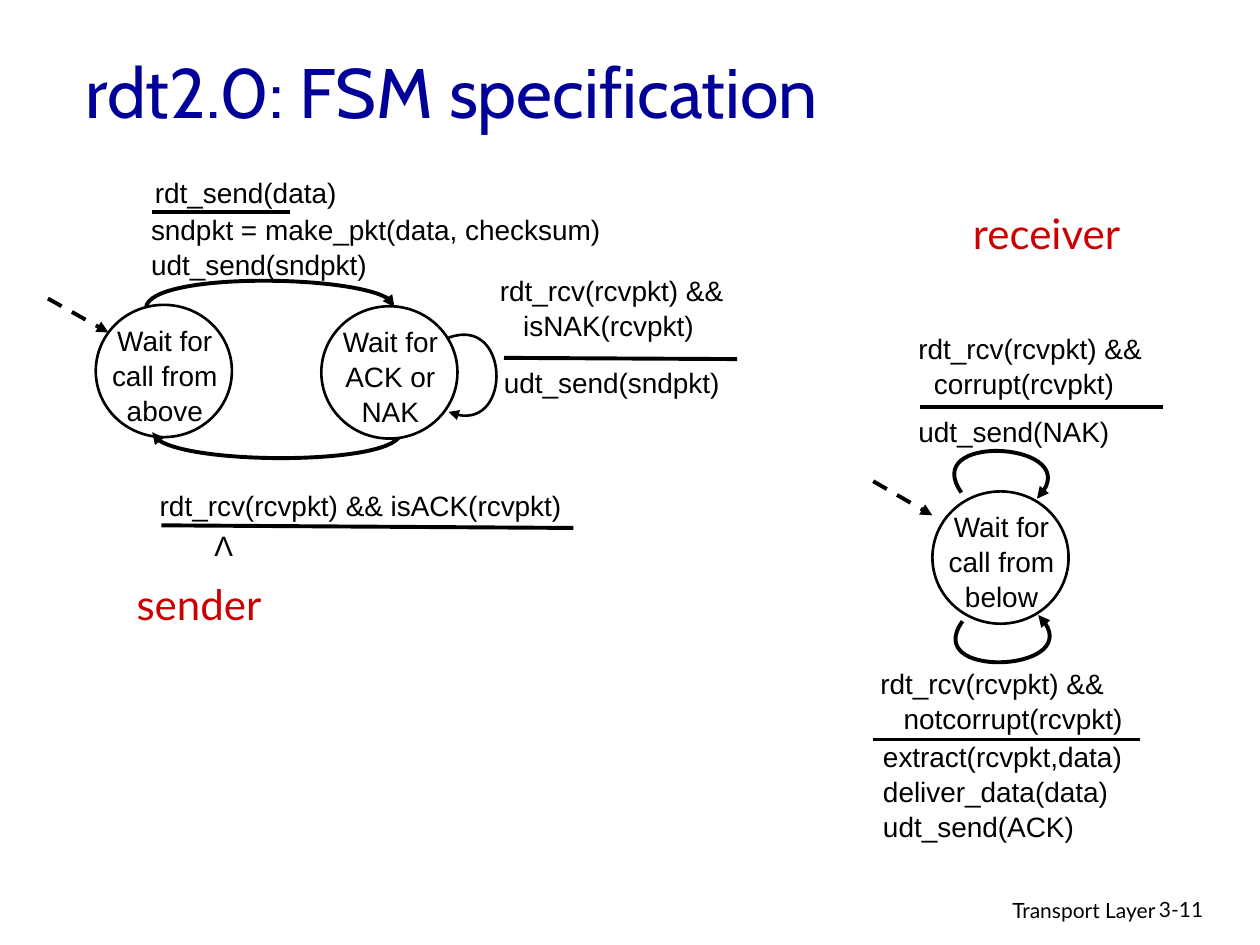
import dataclasses

import lxml.etree
import pptx
import pptx.dml.color
import pptx.enum.dml
import pptx.enum.shapes
import pptx.enum.text
import pptx.oxml.ns
import pptx.util

Pt = pptx.util.Pt
qn = pptx.oxml.ns.qn
Align = pptx.enum.text.PP_ALIGN


@dataclasses.dataclass(frozen=True)
class Theme:
    ink: str = "000000"
    paper: str = "FFFFFF"
    navy: str = "000099"
    red: str = "CC0000"
    code: str = "Arial"
    label: str = "Lato"
    head: str = "Cabin"
    small: int = 12
    body: int = 16
    role: int = 24
    title: int = 40
    thin: float = 1.5
    thick: float = 2.25
    lead: float = 1.04


THEME = Theme()


def tint(code):
    return pptx.dml.color.RGBColor.from_string(code)


def add_text(slide, text, left, top, width, height, size=THEME.body,
             font=THEME.code, color=THEME.ink, align=Align.LEFT, indent=0):
    box = slide.shapes.add_textbox(Pt(left), Pt(top), Pt(width), Pt(height))
    frame = box.text_frame
    frame.word_wrap = True
    frame.text = text
    for par in frame.paragraphs:
        par.alignment = align
        if font == THEME.code:
            par.line_spacing = THEME.lead
        for run in par.runs:
            run.font.size = Pt(size)
            run.font.name = font
            run.font.color.rgb = tint(color)
    if indent:
        frame.paragraphs[-1]._p.get_or_add_pPr().set("marL", str(Pt(indent)))
    return frame


def add_tip(shape):
    line = shape._element.spPr.find(qn("a:ln"))
    tip = lxml.etree.SubElement(line, qn("a:tailEnd"))
    tip.set("type", "triangle")


def set_line(line, width):
    line.color.rgb = tint(THEME.ink)
    line.width = Pt(width)


def add_rule(slide, start, end, arrow=False):
    ends = [Pt(value) for value in start + end]
    rule = slide.shapes.add_connector(
        pptx.enum.shapes.MSO_CONNECTOR.STRAIGHT, *ends)
    set_line(rule.line, THEME.thick)
    if arrow:
        rule.line.dash_style = pptx.enum.dml.MSO_LINE.DASH
        add_tip(rule)
    lxml.etree.SubElement(rule._element.spPr, qn("a:effectLst"))


def add_curve(slide, points, width=THEME.thick):
    start, *rest = [(Pt(x), Pt(y)) for x, y in points]
    pen = slide.shapes.build_freeform(*start)
    pen.add_line_segments(rest, close=False)
    curve = pen.convert_to_shape()
    path = next(curve._element.iter(qn("a:path")))
    legs = path.findall(qn("a:lnTo"))
    bend = lxml.etree.SubElement(path, qn("a:cubicBezTo"))
    for leg in legs:
        bend.append(leg[0])
        path.remove(leg)
    curve.shadow.inherit = False
    curve.fill.background()
    set_line(curve.line, width)
    add_tip(curve)


def add_state(slide, text, left, top):
    ring = slide.shapes.add_shape(
        pptx.enum.shapes.MSO_SHAPE.OVAL, Pt(left), Pt(top), Pt(77.8), Pt(75.6))
    ring.shadow.inherit = False
    ring.fill.solid()
    ring.fill.fore_color.rgb = tint(THEME.paper)
    set_line(ring.line, THEME.thin)
    add_text(slide, text, left - 7.5, top + 6.3, 94, 48, align=Align.CENTER)


def add_role(slide, text, left, top, width):
    add_text(slide, text, left, top, width, 36, THEME.role, THEME.label,
             THEME.red, Align.CENTER)


def draw_sender(slide):
    add_state(slide, "Wait for call from above", 54.7, 174.2)
    add_curve(slide, [(83.5, 175.5), (86.4, 155.5), (225.4, 157), (225.4, 175.5)])
    add_curve(slide, [(229, 247), (229, 265.7), (90, 266.4), (87, 247)])
    add_curve(slide, [(256.3, 193), (291, 180), (293, 250.6), (256.3, 235.4)],
              THEME.thin)
    add_state(slide, "Wait for ACK or NAK", 183.6, 175)
    add_rule(slide, (27.4, 170.6), (62, 190), arrow=True)

    add_text(slide, "rdt_send(data)", 81.4, 95.8, 178, 34)
    add_rule(slide, (87, 121), (165.6, 121))
    add_text(slide, "sndpkt = make_pkt(data, checksum)\nudt_send(sndpkt)",
             79.2, 117.4, 286.6, 32)

    add_text(slide, "rdt_rcv(rcvpkt) &&\nisNAK(rcvpkt)",
             278.6, 152, 164, 50, indent=13.3)
    add_rule(slide, (288, 204.5), (421.2, 205.2))
    add_text(slide, "udt_send(sndpkt)", 280.8, 204.5, 139, 32)

    add_text(slide, "rdt_rcv(rcvpkt) && isACK(rcvpkt)", 84.2, 275, 279.4, 22)
    add_rule(slide, (92.2, 300.2), (327.6, 301.7))
    add_text(slide, "Λ", 115.2, 298, 25.2, 26.6, align=Align.CENTER)
    add_role(slide, "sender", 67.7, 327, 92)


def draw_taker(slide):
    add_curve(slide, [(549.4, 281.5), (525.6, 247.7), (624.2, 252.7), (592.6, 285)])
    add_state(slide, "Wait for call from below", 532.8, 280.8)
    add_curve(slide, [(550, 355), (526.3, 388), (625.7, 383.8), (593.3, 351.4)])
    add_rule(slide, (499, 275), (532.8, 294.5), arrow=True)

    add_text(slide, "rdt_rcv(rcvpkt) &&\ncorrupt(rcvpkt)",
             517.7, 185, 151, 24.5, indent=8.9)
    add_rule(slide, (525.6, 232.6), (664.6, 232.6))
    add_text(slide, "udt_send(NAK)", 517.7, 232.6, 144, 20)

    add_text(slide, "rdt_rcv(rcvpkt) &&\nnotcorrupt(rcvpkt)",
             496, 376.6, 170, 55.4, indent=13.3)
    add_rule(slide, (499, 422.6), (651.6, 422.6))
    add_text(slide, "extract(rcvpkt,data)\ndeliver_data(data)\nudt_send(ACK)",
             497.5, 418.3, 168.5, 49)
    add_role(slide, "receiver", 545.8, 115.2, 104.4)


def main():
    deck = pptx.Presentation()
    deck.slide_width, deck.slide_height = Pt(720), Pt(540)
    slide = deck.slides.add_slide(deck.slide_layouts[6])
    title = add_text(slide, "rdt2.0: FSM specification", 41.8, 10.8, 612, 81.4,
                     THEME.title, THEME.head, THEME.navy)
    title.vertical_anchor = pptx.enum.text.MSO_ANCHOR.MIDDLE
    draw_sender(slide)
    draw_taker(slide)
    add_text(slide, "Transport Layer", 439.2, 509.5, 228.2, 22,
             THEME.small, THEME.label, align=Align.RIGHT)
    add_text(slide, "3-11", 655.2, 509, 53.3, 22, THEME.small, THEME.label)
    deck.save("out.pptx")


if __name__ == "__main__":
    main()
